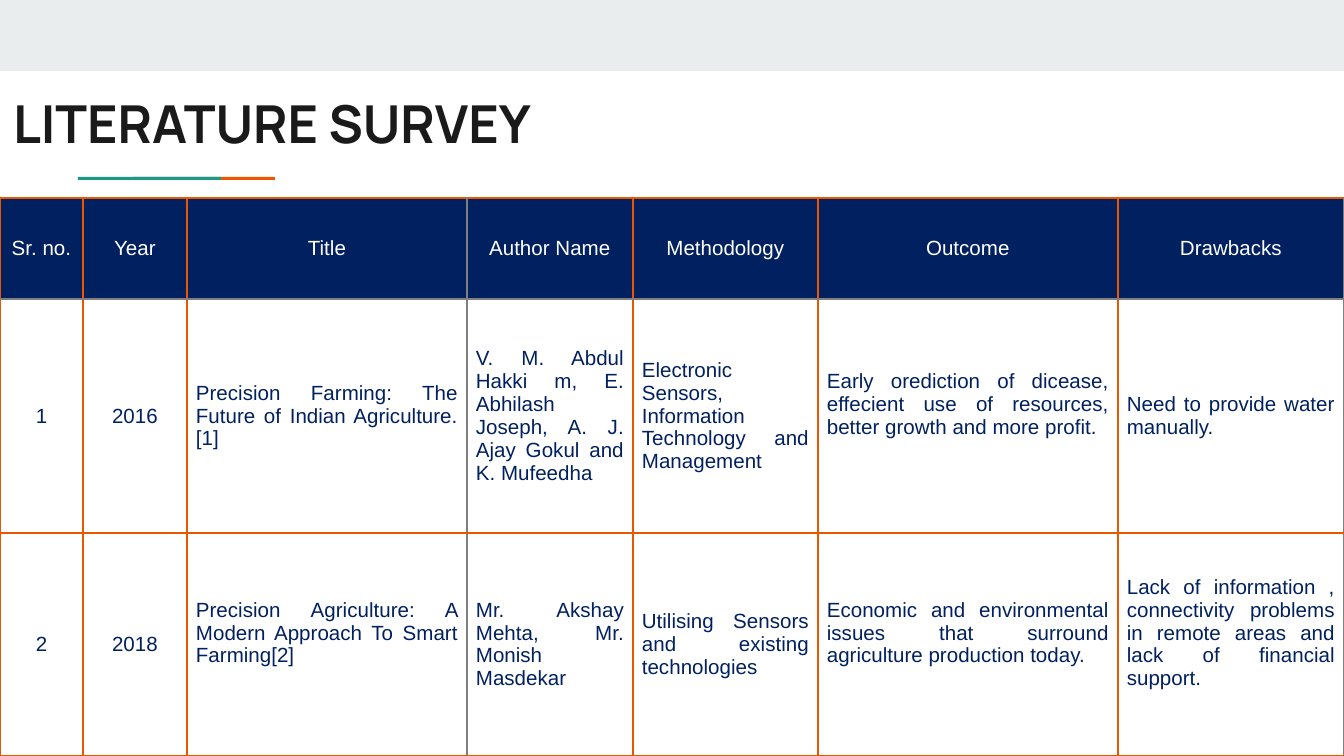
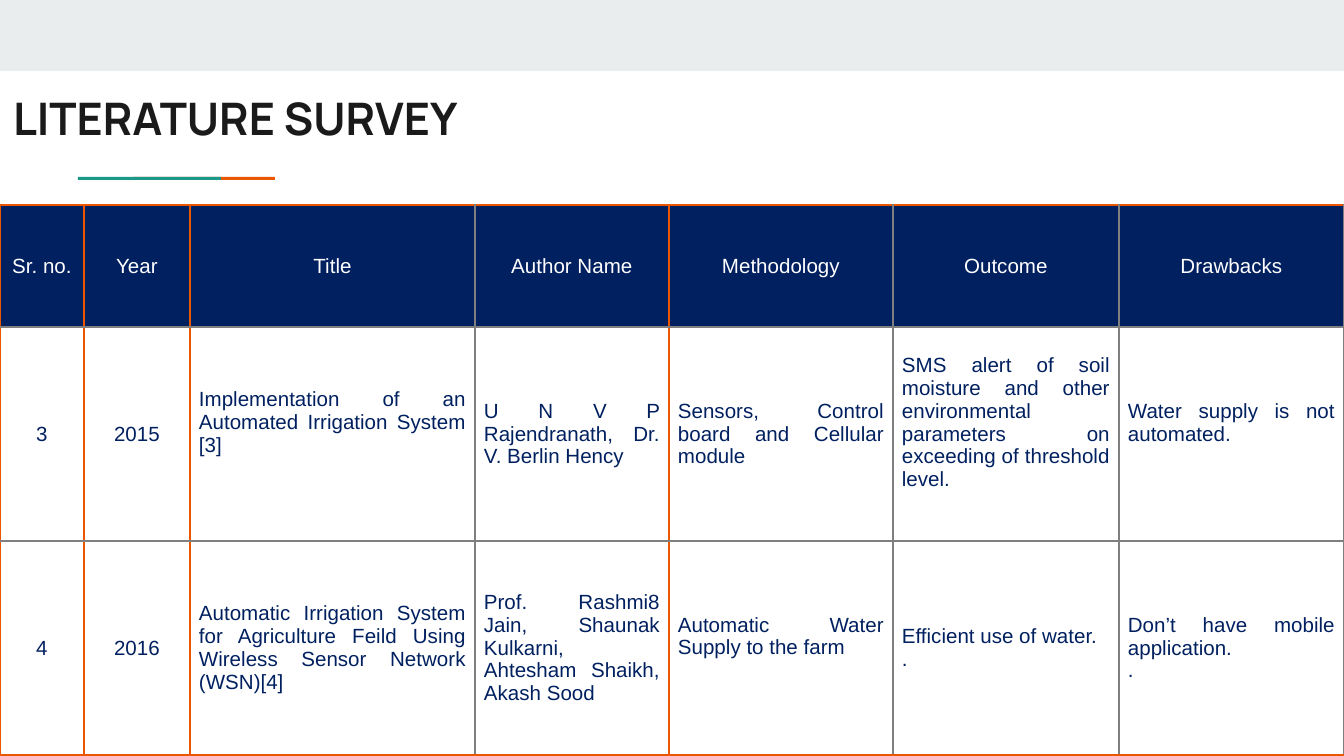
from itertools import accumulate

from lxml.etree import SubElement
from pptx import Presentation
from pptx.dml.color import RGBColor
from pptx.enum.shapes import MSO_SHAPE as Preset
from pptx.enum.text import MSO_ANCHOR as Anchor, MSO_AUTO_SIZE as AutoSize, PP_ALIGN as Align
from pptx.oxml.ns import qn
from pptx.util import Pt

WIDTH, HEIGHT = 1344, 756
PX = 914400 / 134.4

BAND, ORANGE, TEAL = "E9EDEE", "EB5600", "1A9988"
INK, NAVY, WHITE, GRAY = "1A1A1A", "002060", "FFFFFF", "7F7F7F"
INSET, LINE = 9, 23

TITLE = "LITERATURE SURVEY"
HEADERS = ("Sr. no.", "Year", "Title", "Author Name", "Methodology", "Outcome", "Drawbacks")

SURVEYS = [
    dict(
        title_size=28,
        top=198,
        columns=(83, 104, 280, 166, 185, 300, 226),
        rows=(101, 234, 223),
        gray_columns={3, 7},
        gray_rows={1},
        raised={(1, 5), (2, 2), (2, 5), (2, 6)},
        papers=[
            ("1", "2016", "Precision Farming: The Future of Indian Agriculture.[1]",
             "V. M. Abdul Hakki m, E. Abhilash Joseph, A. J. Ajay Gokul and K. Mufeedha",
             "Electronic Sensors, Information Technology and Management",
             "Early orediction of dicease, effecient use of resources, better growth and more profit.",
             "Need to provide water manually."),
            ("2", "2018", "Precision Agriculture: A Modern Approach To Smart Farming[2]",
             "Mr. Akshay Mehta, Mr. Monish Masdekar",
             "Utilising Sensors and existing technologies ",
             "Economic and environmental issues that surround agriculture production today.",
             "Lack of information , connectivity problems in remote areas and lack of financial support."),
        ],
    ),
    dict(
        title_size=24,
        top=205,
        columns=(84, 106, 285, 194, 224, 226, 225),
        rows=(122, 214, 214),
        gray_columns={3, 5, 6, 7},
        gray_rows={1, 2},
        raised={(1, 2), (1, 5), (1, 6), (2, 4)},
        papers=[
            ("3", "2015", "Implementation of an Automated Irrigation System [3]",
             "U N V P Rajendranath, Dr. V. Berlin Hency",
             "Sensors, Control board and Cellular module",
             "SMS alert of soil moisture and other environmental parameters on exceeding of threshold level.",
             "Water supply is not automated."),
            ("4", "2016",
             "Automatic Irrigation System for Agriculture Feild Using Wireless Sensor Network (WSN)[4]",
             "Prof. Rashmi8 Jain, Shaunak Kulkarni, Ahtesham Shaikh, Akash Sood",
             "Automatic Water Supply to the farm",
             "Efficient use of water.\n.",
             "Don’t have mobile application.\n."),
        ],
    ),
]


def px(value):
    return round(value * PX)


def color(value):
    return RGBColor.from_string(value)


def write(frame, text, *, size, font, ink, align, bold=False):
    frame.word_wrap = True
    frame.text = text
    for paragraph in frame.paragraphs:
        paragraph.alignment = align
        for run in paragraph.runs:
            run.font.size = Pt(size)
            run.font.name = font
            run.font.bold = bold
            run.font.color.rgb = color(ink)


def add_bar(slide, left, top, width, height, fill):
    shape = slide.shapes.add_shape(Preset.RECTANGLE, px(left), px(top), px(width), px(height))
    shape.shadow.inherit = False
    shape.fill.solid()
    shape.fill.fore_color.rgb = color(fill)
    shape.line.fill.background()


def add_title(slide, size):
    title = slide.shapes.title
    title.left, title.top, title.width, title.height = px(0), px(78), px(1130), px(79)
    frame = title.text_frame
    frame.margin_left = frame.margin_right = frame.margin_top = frame.margin_bottom = px(13)
    frame.vertical_anchor = Anchor.TOP
    frame.auto_size = AutoSize.NONE
    write(frame, TITLE, size=size, font="Manrope", ink=INK, align=Align.LEFT, bold=True)


def set_borders(cell, edges):
    properties = cell._tc.get_or_add_tcPr()
    for position, (side, is_gray) in enumerate(edges):
        line = SubElement(properties, qn("a:ln" + side), w=str(Pt(0.75 if is_gray else 1)))
        fill = SubElement(line, qn("a:solidFill"))
        SubElement(fill, qn("a:srgbClr"), val=GRAY if is_gray else ORANGE)
        properties.insert(position, line)


def add_survey_table(slide, survey):
    contents = [HEADERS, *survey["papers"]]
    columns, rows = survey["columns"], survey["rows"]
    table = slide.shapes.add_table(
        len(rows), len(columns), 0, px(survey["top"]), px(sum(columns)), px(sum(rows))
    ).table
    table.first_row = table.horz_banding = False
    for lengths, parts, name in ((columns, table.columns, "width"), (rows, table.rows, "height")):
        edges = [px(edge) for edge in accumulate(lengths, initial=0)]
        for part, start, end in zip(parts, edges, edges[1:]):
            setattr(part, name, end - start)

    gray_columns, gray_rows = survey["gray_columns"], survey["gray_rows"]
    for r, values in enumerate(contents):
        for c, value in enumerate(values):
            cell = table.cell(r, c)
            is_header = r == 0
            cell.vertical_anchor = Anchor.MIDDLE
            cell.margin_left = cell.margin_right = cell.margin_top = px(INSET)
            cell.margin_bottom = px(INSET + LINE * ((r, c) in survey["raised"]))
            if is_header:
                cell.fill.solid()
                cell.fill.fore_color.rgb = color(NAVY)
            else:
                cell.fill.background()
            write(cell.text_frame, value, size=11, font="Arial",
                  ink=WHITE if is_header else NAVY,
                  align=Align.CENTER if is_header or c < 2 else Align.JUSTIFY)
            set_borders(cell, [("L", c in gray_columns), ("R", c + 1 in gray_columns),
                               ("T", r in gray_rows), ("B", r + 1 in gray_rows)])


def main():
    presentation = Presentation()
    presentation.slide_width, presentation.slide_height = px(WIDTH), px(HEIGHT)
    for survey in SURVEYS:
        slide = presentation.slides.add_slide(presentation.slide_layouts[5])
        add_bar(slide, 0, 0, WIDTH, 71, BAND)
        add_bar(slide, 133, 177, 142, 3, ORANGE)
        add_bar(slide, 78, 177, 143, 3, TEAL)
        add_title(slide, survey["title_size"])
        add_survey_table(slide, survey)
    presentation.save("out.pptx")


if __name__ == "__main__":
    main()
